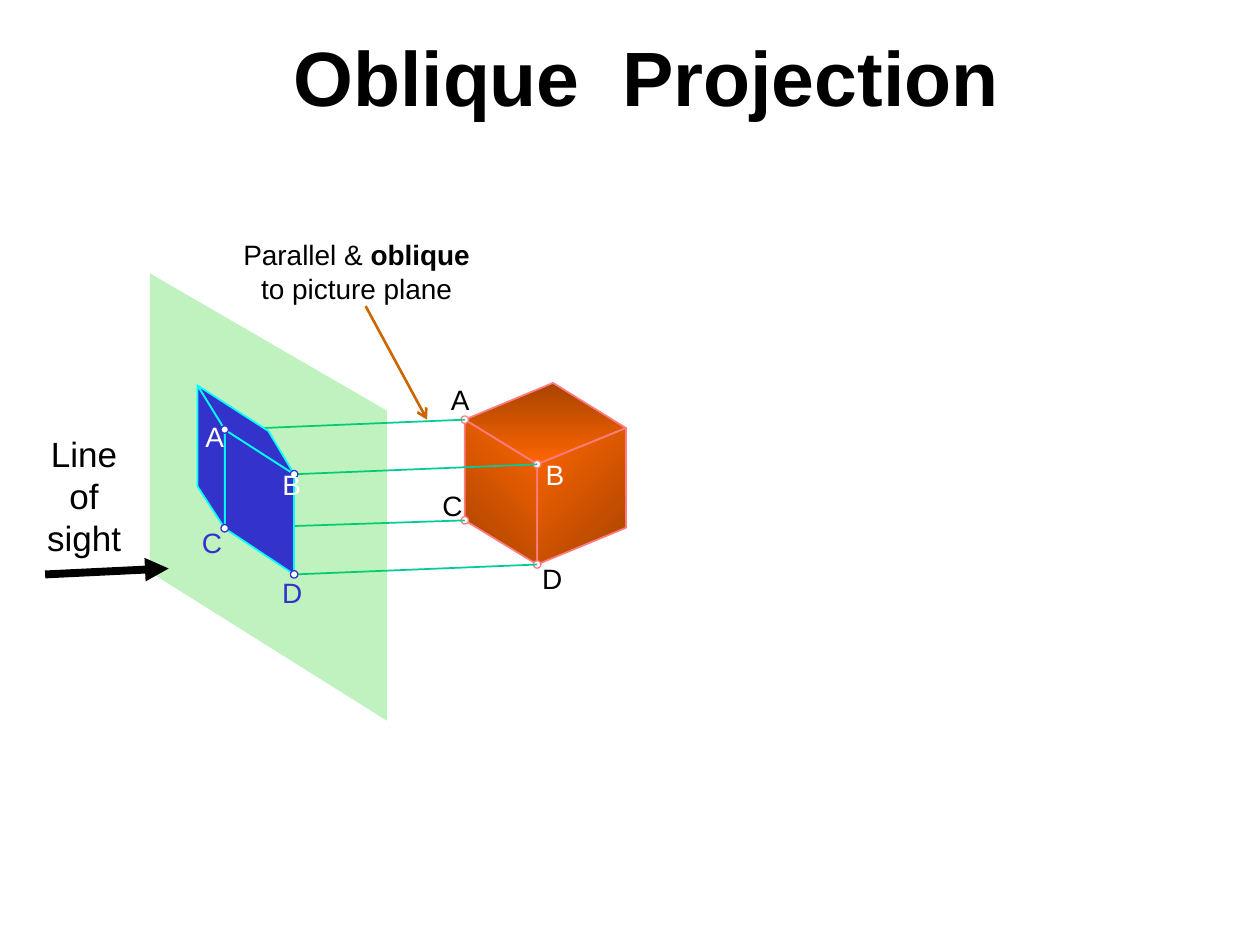
from dataclasses import dataclass

from lxml import etree
from pptx import Presentation
from pptx.dml.color import RGBColor
from pptx.enum.shapes import MSO_CONNECTOR, MSO_SHAPE
from pptx.enum.text import MSO_ANCHOR, PP_ALIGN
from pptx.oxml.ns import qn
from pptx.util import Cm, Pt

STRAIGHT = MSO_CONNECTOR.STRAIGHT
OVAL = MSO_SHAPE.OVAL
CENTER = PP_ALIGN.CENTER
MIDDLE = MSO_ANCHOR.MIDDLE

Point = tuple[float, float]


@dataclass(frozen=True)
class Theme:
    font: str = "Arial"
    black: str = "000000"
    white: str = "FFFFFF"
    dark: str = "A84300"
    bright: str = "FF6600"
    pink: str = "FF7C80"
    blue: str = "3333CC"
    cyan: str = "00FFFF"
    ray: str = "00CC99"
    plane: str = "00CC00"
    arrow: str = "CC6600"
    title: int = 44
    sight: int = 20
    note: int = 16


THEME = Theme()


@dataclass(frozen=True)
class Face:
    keys: str
    fill: tuple[str, ...]
    angle: int = 0


@dataclass(frozen=True)
class Label:
    key: str
    mid: Point
    color: str


@dataclass(frozen=True)
class Solid:
    spots: dict[str, Point]
    faces: tuple[Face, ...]
    labels: tuple[Label, ...]
    edge: str
    ring: str


CUBE = Solid(
    {"A": (9.37, 8.46), "B": (10.83, 9.36), "C": (9.37, 10.49), "D": (10.83, 11.38),
     "E": (11.15, 7.72), "F": (12.62, 8.63), "G": (12.62, 10.64)},
    (Face("ABFE", (THEME.dark, THEME.bright), 90),
     Face("ACDB", (THEME.bright, THEME.dark), 135),
     Face("GFBD", (THEME.dark, THEME.bright), 225)),
    (Label("A", (9.28, 8.06), THEME.black),
     Label("B", (11.19, 9.56), THEME.white),
     Label("C", (9.12, 10.2), THEME.black),
     Label("D", (11.13, 11.67), THEME.black)),
    THEME.pink, THEME.pink)

IMAGE = Solid(
    {"A": (4.53, 8.66), "B": (5.93, 9.56), "C": (4.53, 10.65), "D": (5.93, 11.58),
     "E": (3.98, 7.77), "F": (5.41, 8.69), "G": (3.98, 9.8)},
    (Face("DBAC", (THEME.blue,)),
     Face("AEFB", (THEME.blue,)),
     Face("CGEA", (THEME.blue,))),
    (Label("A", (4.33, 8.8), THEME.white),
     Label("B", (5.88, 9.77), THEME.white),
     Label("C", (4.27, 10.93), THEME.blue),
     Label("D", (5.89, 11.95), THEME.blue)),
    THEME.cyan, THEME.blue)

PLANE = [(3.02, 11.53), (3.02, 5.51), (7.8, 8.28), (7.8, 14.53)]
DOT = 0.15
TAG = (0.9, 0.94)


def rgb(code: str) -> RGBColor:
    return RGBColor.from_string(code)


def draw_shape(slide, spots: list[Point]):
    ends = [(Cm(x), Cm(y)) for x, y in spots]
    maker = slide.shapes.build_freeform(*ends[0])
    maker.add_line_segments(ends[1:], close=True)
    shape = maker.convert_to_shape()
    shape.shadow.inherit = False
    return shape


def draw_face(slide, solid: Solid, face: Face) -> None:
    shape = draw_shape(slide, [solid.spots[key] for key in face.keys])
    if len(face.fill) == 1:
        shape.fill.solid()
        shape.fill.fore_color.rgb = rgb(face.fill[0])
    else:
        shape.fill.gradient()
        shape.fill.gradient_angle = 360 - face.angle
        for stop, code in zip(shape.fill.gradient_stops, face.fill):
            stop.color.rgb = rgb(code)
    shape.line.color.rgb = rgb(solid.edge)
    shape.line.width = Pt(1)


def draw_plane(slide) -> None:
    shape = draw_shape(slide, PLANE)
    shape.fill.solid()
    shape.fill.fore_color.rgb = rgb(THEME.plane)
    color = shape.element.spPr.find(f"{qn('a:solidFill')}/{qn('a:srgbClr')}")
    etree.SubElement(color, qn("a:alpha")).set("val", "25000")
    shape.line.fill.background()


def draw_dot(slide, mid: Point, ring: str) -> None:
    x, y = (side - DOT / 2 for side in mid)
    dot = slide.shapes.add_shape(OVAL, Cm(x), Cm(y), Cm(DOT), Cm(DOT))
    dot.shadow.inherit = False
    dot.fill.solid()
    dot.fill.fore_color.rgb = rgb(THEME.white)
    dot.line.color.rgb = rgb(ring)
    dot.line.width = Pt(0.75)


def draw_line(slide, start: Point, end: Point, color: str, width: float,
              head: str = "") -> None:
    line = slide.shapes.add_connector(STRAIGHT, *map(Cm, start + end))
    line.line.color.rgb = rgb(color)
    line.line.width = Pt(width)
    if head:
        etree.SubElement(line.line._get_or_add_ln(), qn("a:tailEnd")).set("type", head)
    etree.SubElement(line._element.spPr, qn("a:effectLst"))


def set_font(para, size: int, color: str, bold: bool = False) -> None:
    para.alignment = CENTER
    para.font.name = THEME.font
    para.font.size = Pt(size)
    para.font.color.rgb = rgb(color)
    para.font.bold = bold


def draw_text(slide, box: tuple[float, ...], lines: list[str], size: int,
              color: str = THEME.black):
    frame = slide.shapes.add_textbox(*map(Cm, box)).text_frame
    frame.word_wrap = False
    frame.text = "\n".join(lines)
    for para in frame.paragraphs:
        set_font(para, size, color)
    return frame


def draw_solid(slide, solid: Solid) -> None:
    for face in solid.faces:
        draw_face(slide, solid, face)
    for label in solid.labels:
        draw_dot(slide, solid.spots[label.key], solid.ring)
    for label in solid.labels:
        x, y = (side - size / 2 for side, size in zip(label.mid, TAG))
        draw_text(slide, (x, y, *TAG), [label.key], THEME.note, label.color)


def draw_title(slide) -> None:
    title = slide.shapes.title
    title.left, title.top, title.width, title.height = map(Cm, (5.66, 0.46, 14.76, 2.13))
    frame = title.text_frame
    frame.text = "Oblique  Projection"
    frame.word_wrap = False
    frame.vertical_anchor = MIDDLE
    set_font(frame.paragraphs[0], THEME.title, THEME.black, True)


def main() -> None:
    deck = Presentation()
    deck.slide_width, deck.slide_height = Cm(25.4), Cm(19.05)
    slide = deck.slides.add_slide(deck.slide_layouts[5])
    draw_title(slide)
    draw_solid(slide, CUBE)
    for key in "DBAC":
        draw_line(slide, CUBE.spots[key], IMAGE.spots[key], THEME.ray, 1)
    draw_plane(slide)
    draw_text(slide, (0.69, 8.59, 2.01, 2.79), ["Line", "of", "sight"], THEME.sight)
    draw_line(slide, (0.91, 11.58), (3.4, 11.46), THEME.black, 4.5, "triangle")
    note = draw_text(slide, (4.65, 4.67, 5.08, 1.63),
                     ["Parallel & ", "to picture plane"], THEME.note)
    strong = note.paragraphs[0].add_run()
    strong.text = "oblique"
    strong.font.bold = True
    draw_line(slide, (7.37, 6.17), (8.61, 8.46), THEME.arrow, 1.5, "arrow")
    draw_solid(slide, IMAGE)
    deck.save("out.pptx")


if __name__ == "__main__":
    main()
